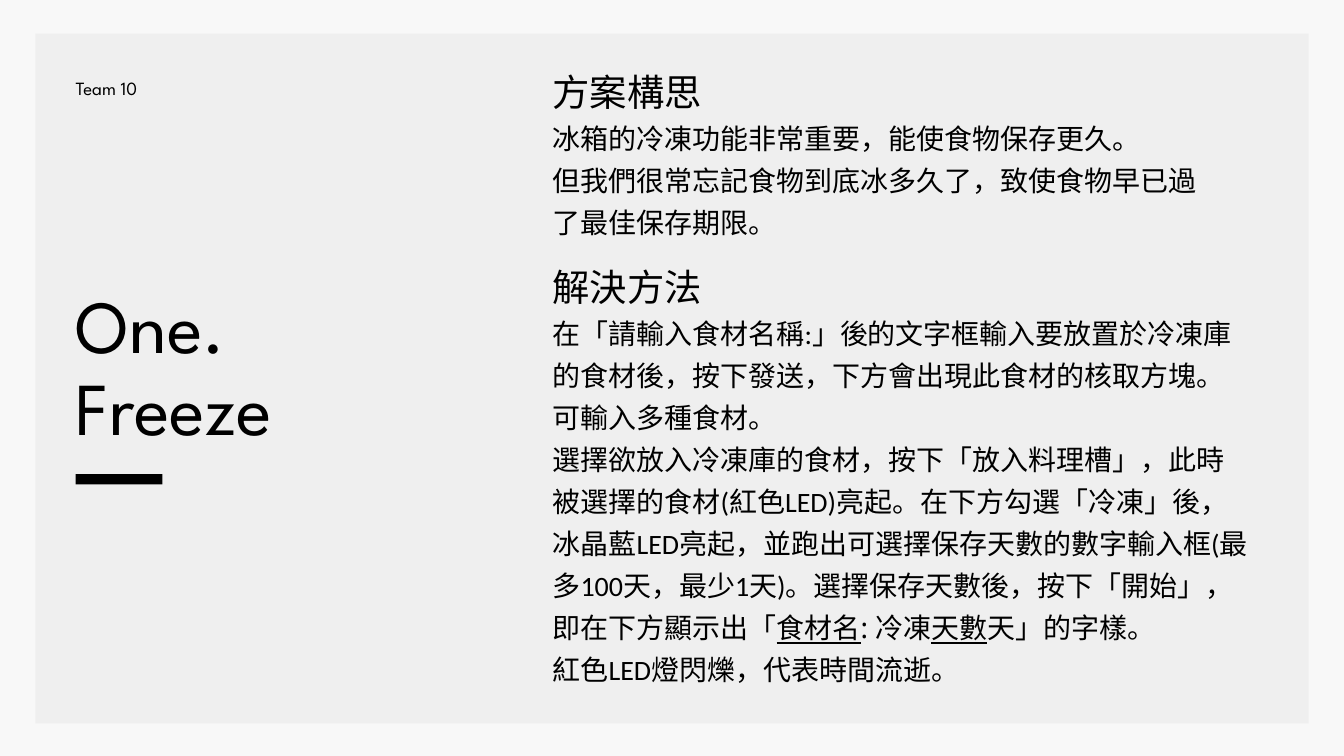
from lxml import etree
from pptx import Presentation
from pptx.dml.color import RGBColor
from pptx.enum.shapes import MSO_SHAPE
from pptx.enum.text import MSO_ANCHOR, MSO_AUTO_SIZE, PP_ALIGN
from pptx.oxml.ns import qn
from pptx.util import Pt

RECTANGLE = MSO_SHAPE.RECTANGLE
TOP = MSO_ANCHOR.TOP
LEFT = PP_ALIGN.LEFT
NO_AUTOFIT = MSO_AUTO_SIZE.NONE

COLORS = {"background": "F8F8F8", "panel": "EFEFEF", "ink": "000000"}
DISPLAY_FONT = "League Spartan"
BODY_FONT = "Calibri"
SYMBOL_FONT = "Noto Sans"
COMPARISON_LAYOUT = 4
MARGIN = 81
COLUMN = 592

IDEA = [
    "冰箱的冷凍功能非常重要，能使食物保存更久。",
    "但我們很常忘記食物到底冰多久了，致使食物早已過了最佳保存期限。",
]
SOLUTION = [
    "在「請輸入食材名稱:」後的文字框輸入要放置於冷凍庫的食材後，按下發送，"
    "下方會出現此食材的核取方塊。可輸入多種食材。",
    [
        ("選擇欲放入冷凍庫的食材，按下「放入料理槽」，此時被選擇的食材(紅色LED)亮起。"
         "在下方勾選「冷凍」後，冰晶藍LED亮起，並跑出可選擇保存天數的數字輸入框"
         "(最多100天，最少1天)。選擇保存天數後，按下「開始」，即在下方顯示出「", BODY_FONT, False),
        ("食材名", BODY_FONT, True),
        (": 冷凍", SYMBOL_FONT, False),
        ("天數", BODY_FONT, True),
        ("天」的字樣。", BODY_FONT, False),
    ],
    "紅色LED燈閃爍，代表時間流逝。",
]


class SlideBuilder:
    """Holds the slide and its style, and places each kind of element."""

    def __init__(self, presentation, layout_index):
        layout = presentation.slide_layouts[layout_index]
        self.slide = presentation.slides.add_slide(layout)
        fill = self.slide.background.fill
        fill.solid()
        fill.fore_color.rgb = self.color("background")

    def color(self, name):
        return RGBColor.from_string(COLORS[name])

    def block(self, color, left, top, width, height):
        shape = self.slide.shapes.add_shape(
            RECTANGLE, Pt(left), Pt(top), Pt(width), Pt(height))
        shape.shadow.inherit = False
        shape.fill.solid()
        shape.fill.fore_color.rgb = self.color(color)
        shape.line.fill.background()
        return shape

    def panel(self, *box):
        shape = self.block("panel", *box)
        self.slide.shapes._spTree.insert(2, shape._element)

    def label(self, lines, box, font, size, spacing):
        left, top, width, height = map(Pt, box)
        shape = self.slide.shapes.add_textbox(left, top, width, height)
        self.set_text(shape, lines, font, size, spacing)

    def placeholder(self, index, lines, box, font, size, spacing):
        shape = self.slide.placeholders[index]
        shape.left, shape.top, shape.width, shape.height = map(Pt, box)
        self.set_text(shape, lines, font, size, spacing)

    def set_text(self, shape, lines, font, size, spacing):
        frame = shape.text_frame
        frame.word_wrap = True
        frame.auto_size = NO_AUTOFIT
        frame.vertical_anchor = TOP
        frame.margin_left = frame.margin_right = 0
        frame.margin_top = frame.margin_bottom = 0
        for number, line in enumerate(lines):
            paragraph = frame.add_paragraph() if number else frame.paragraphs[0]
            properties = paragraph._p.get_or_add_pPr()
            properties.set("marL", "0")
            properties.set("indent", "0")
            etree.SubElement(properties, qn("a:buNone"))
            paragraph.alignment = LEFT
            paragraph.line_spacing = Pt(spacing)
            paragraph.space_before = paragraph.space_after = Pt(0)
            paragraph.font.size = Pt(size)
            paragraph.font.bold = False
            paragraph.font.color.rgb = self.color("ink")
            if isinstance(line, str):
                paragraph.font.name = font
                paragraph.add_run().text = line
                continue
            for text, run_font, underline in line:
                run = paragraph.add_run()
                run.text = text
                run.font.name = run_font
                run.font.underline = underline


def main():
    presentation = Presentation()
    presentation.slide_width = Pt(1440)
    presentation.slide_height = Pt(810)
    builder = SlideBuilder(presentation, COMPARISON_LAYOUT)

    builder.panel(38, 36, 1364, 739)
    builder.placeholder(
        0, ["One.", "Freeze"], (MARGIN, 307, 356, 179), DISPLAY_FONT, 80, 88)
    builder.block("ink", MARGIN, 508, 93, 11)
    builder.label(["Team 10"], (MARGIN, 78, 466, 27), DISPLAY_FONT, 20, 28)

    sections = [
        ("方案構思", 66, IDEA, 714, 133),
        ("解決方法", 275, SOLUTION, 746, 403),
    ]
    for number, (heading, top, lines, width, height) in enumerate(sections):
        index = 1 + 2 * number
        builder.placeholder(
            index, [heading], (COLUMN, top, 246, 53), BODY_FONT, 40, 56)
        builder.placeholder(
            index + 1, lines, (COLUMN, top + 55.5, width, height), BODY_FONT, 30, 45)

    presentation.save("out.pptx")


if __name__ == "__main__":
    main()
